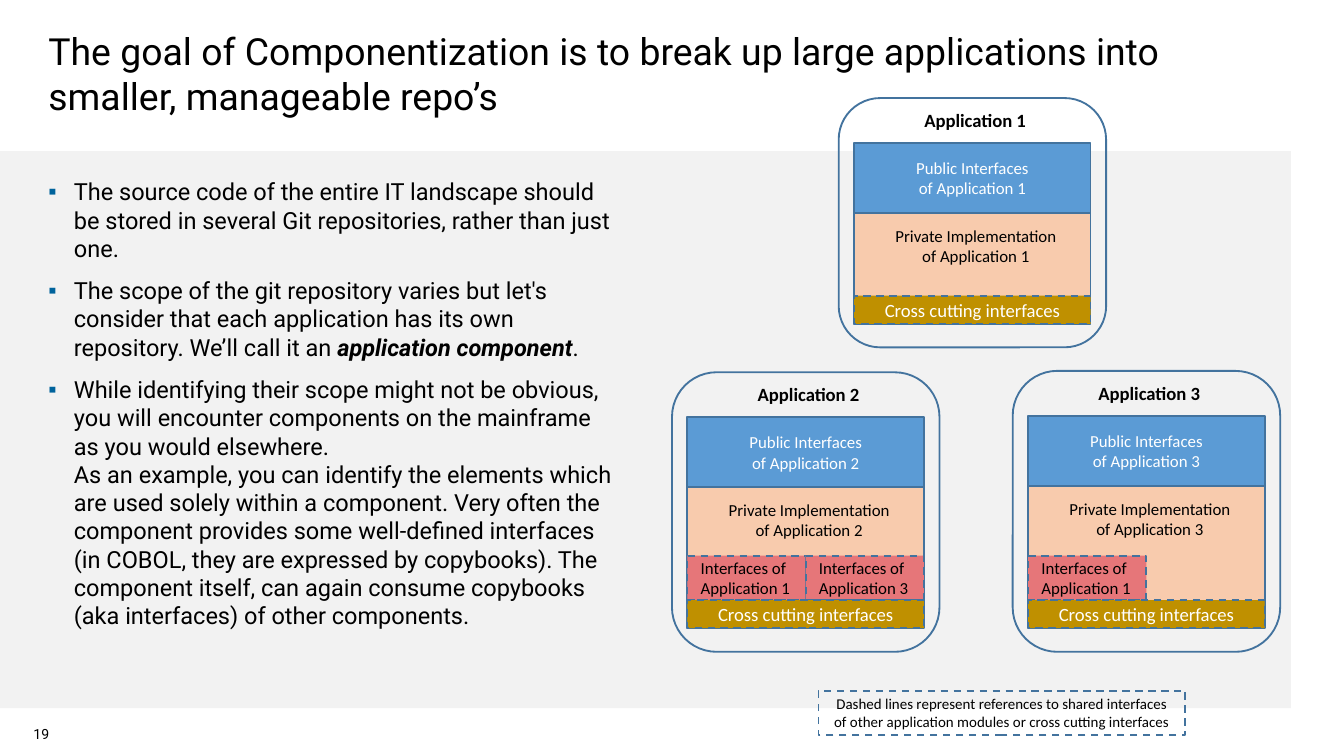
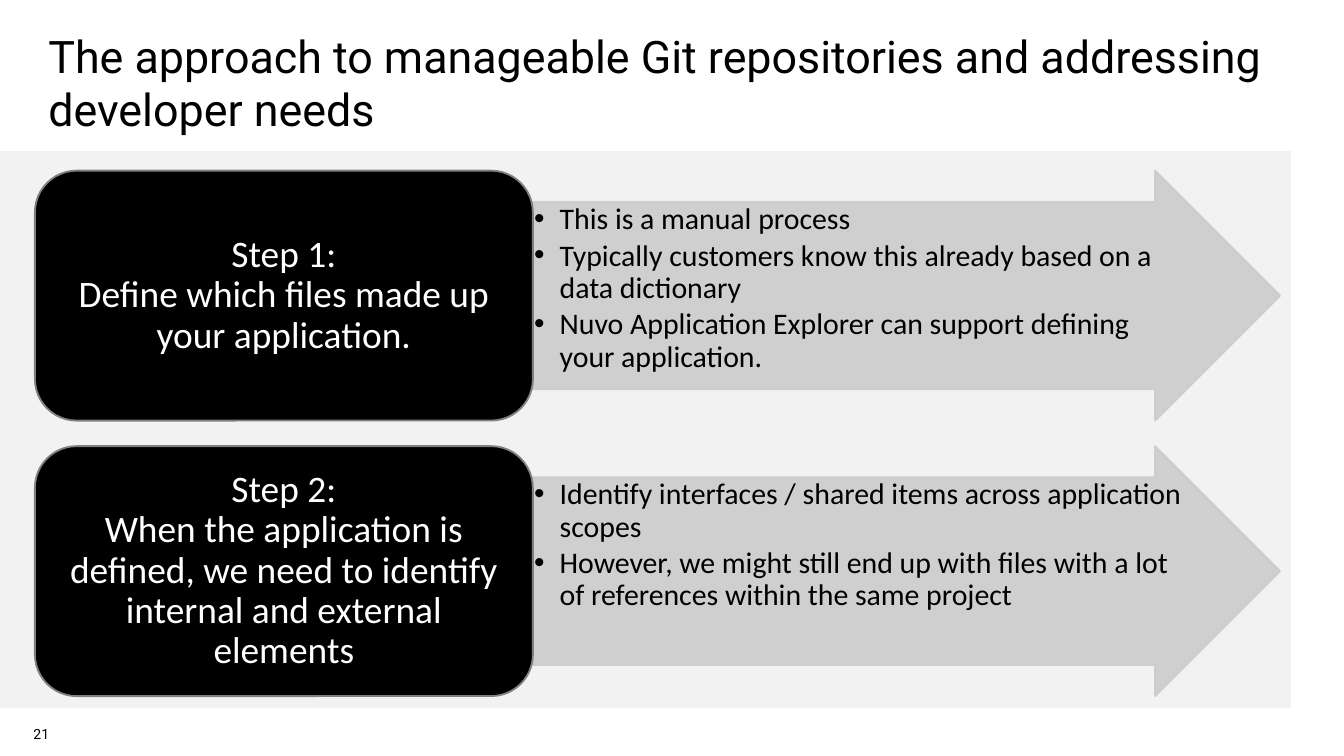
from copy import deepcopy
from dataclasses import dataclass

from lxml import etree
from pptx import Presentation
from pptx import util as u
from pptx.dml.color import RGBColor
from pptx.enum import dml, shapes, text
from pptx.oxml import ns

WIDTH = u.Inches(10)
HEIGHT = u.Emu(WIDTH * 9 // 16)
COLUMNS = 100
CELL = WIDTH / COLUMNS
RECT = shapes.MSO_SHAPE.RECTANGLE
ROUND = shapes.MSO_SHAPE.ROUNDED_RECTANGLE
ARROW = shapes.MSO_SHAPE.RIGHT_ARROW
LEFT, CENTER = text.PP_ALIGN.LEFT, text.PP_ALIGN.CENTER
TOP, MIDDLE = text.MSO_ANCHOR.TOP, text.MSO_ANCHOR.MIDDLE


@dataclass(frozen=True)
class Theme:
    heading: str = "Roboto"
    diagram: str = "Calibri"
    black: str = "000000"
    white: str = "FFFFFF"
    band: str = "F2F2F2"
    bullet: str = "00639C"
    outline: str = "43739E"
    public: str = "5B9BD5"
    private: str = "F8CBAD"
    shared: str = "E67679"
    cross: str = "BF9000"
    arrow: str = "CCCCCC"
    step_line: str = "808080"
    number_size: float = 7.5
    legend_size: float = 8
    label_size: float = 9
    card_size: float = 10
    body_size: float = 12.6
    detail_size: float = 16
    step_size: float = 20
    title_size: float = 20
    large_title_size: float = 24


T = Theme()


def cells(*values):
    return [u.Emu(round(v * CELL)) for v in values]


def set_attrs(target, fmt):
    for name, value in fmt.items():
        setattr(target, name, value)


def style_run(r, font, size, color, **fmt):
    set_attrs(r.font, {"name": font, "size": u.Pt(size), **fmt})
    r.font.color.rgb = RGBColor.from_string(color)


def write(p, content, font, size, color, align=LEFT, **fmt):
    p.text = content
    p.alignment = align
    for r in p.runs:
        style_run(r, font, size, color, **fmt)
    for br in p._p.findall(ns.qn("a:br")):
        br.insert(0, deepcopy(p.runs[0]._r.rPr))


def set_frame(tf, anchor=TOP, wrap=True, inset=(1, 0.5)):
    x, y = cells(*inset)
    set_attrs(tf, {"auto_size": text.MSO_AUTO_SIZE.NONE, "word_wrap": wrap,
                   "vertical_anchor": anchor, "margin_left": x,
                   "margin_right": x, "margin_top": y, "margin_bottom": y})


def add_bullet(p, char, color):
    pPr = p._p.get_or_add_pPr()
    indent = cells(1.9)[0]
    pPr.set("marL", str(indent))
    pPr.set("indent", str(-indent))
    clr = etree.SubElement(pPr, ns.qn("a:buClr"))
    etree.SubElement(clr, ns.qn("a:srgbClr")).set("val", color)
    etree.SubElement(pPr, ns.qn("a:buFont")).set("typeface", "Arial")
    etree.SubElement(pPr, ns.qn("a:buChar")).set("char", char)


def add_box(s, kind, at, fill=None, line=None, dashed=False):
    sp = s.shapes.add_shape(kind, *cells(*at))
    sp.shadow.inherit = False
    if fill:
        sp.fill.solid()
        sp.fill.fore_color.rgb = RGBColor.from_string(fill)
    else:
        sp.fill.background()
    if line:
        sp.line.color.rgb = RGBColor.from_string(line)
        sp.line.width = u.Pt(1)
        if dashed:
            sp.line.dash_style = dml.MSO_LINE.DASH
    else:
        sp.line.fill.background()
    return sp


def add_label(s, at, content, size, color=T.black, fill=None, dashed=False,
              align=CENTER):
    sp = add_box(s, RECT, at, fill, T.outline, dashed)
    set_frame(sp.text_frame, MIDDLE)
    write(sp.text_frame.paragraphs[0], content, T.diagram, size, color, align)


def add_text(s, at, content, font, size, align=LEFT, wrap=True, **fmt):
    tf = s.shapes.add_textbox(*cells(*at)).text_frame
    set_frame(tf, wrap=wrap)
    write(tf.paragraphs[0], content, font, size, T.black, align, **fmt)


def place(sp, at):
    set_attrs(sp, dict(zip(("left", "top", "width", "height"), cells(*at))))
    set_frame(sp.text_frame)


def add_slide(prs, layout, title, title_size, number):
    s = prs.slides.add_slide(prs.slide_layouts[layout])
    band = add_box(s, RECT, (0, 11.25, 96.05, 41.45), T.band)
    s.shapes._spTree.insert(2, band._element)
    place(s.shapes.title, (2.6, 1.6, 94.8, 8.5))
    write(s.shapes.title.text_frame.paragraphs[0], title, T.heading,
          title_size, T.black)
    add_text(s, (1.5, 53.5, 4.5, 1.9), number, T.heading, T.number_size)
    return s


def fill_body(sp, items):
    place(sp, (2.6, 12.7, 44.3, 39.1))
    tf = sp.text_frame
    for i, (content, emphasis, ending) in enumerate(items):
        p = tf.paragraphs[0] if i == 0 else tf.add_paragraph()
        add_bullet(p, "▪", T.bullet)
        p.space_before = u.Pt(7.5 if i else 0)
        write(p, content, T.heading, T.body_size, T.black)
        for part, strong in ((emphasis, True), (ending, False)):
            if part:
                r = p.add_run()
                r.text = part
                style_run(r, T.heading, T.body_size, T.black, bold=strong,
                          italic=strong)


def add_application(s, left, top, height, number, uses=()):
    name = f"Application {number}"
    x, w = left + 1.15, 17.6
    private_top, private_h = top + 8.55, height - 10.3
    cross_h, shared_w, shared_h = 2.1, 8.8, 3.3
    cross_top = private_top + private_h - cross_h
    add_box(s, RECT, (x, private_top, w, private_h), T.private, T.outline)
    add_label(s, (x, top + 3.35, w, 5.2), f"Public Interfaces\vof {name}",
              T.label_size, T.white, T.public)
    add_box(s, ROUND, (left, top, 19.9, height), line=T.outline)
    add_text(s, (left + 4.9, top + 0.3, 10.5, 2.7), name, T.diagram,
             T.card_size, CENTER, bold=True)
    add_text(s, (left + 2.6, top + 9, 15.2, 5.8),
             f"Private Implementation\vof {name}", T.diagram, T.label_size,
             CENTER, wrap=False)
    for i, used in enumerate(uses):
        add_label(s, (x + i * shared_w, cross_top - shared_h, shared_w, shared_h),
                  f"Interfaces of\vApplication {used}", T.label_size,
                  fill=T.shared, dashed=True, align=LEFT)
    add_label(s, (x, cross_top, w, cross_h), "Cross cutting interfaces",
              T.card_size, T.white, T.cross, dashed=True)


def add_step(s, row, step, details):
    top, height = 12.7 + row * 20.5, 18.6
    arrow = add_box(s, ARROW, (39.65, top, 55.6, height), T.arrow, T.arrow)
    arrow.adjustments[0] = 0.75
    for clr in arrow._element.spPr.iter(ns.qn("a:srgbClr")):
        etree.SubElement(clr, ns.qn("a:alpha")).set("val", "90000")
    tf = s.shapes.add_textbox(*cells(39.65, top + 2.35, 48.6, 14)).text_frame
    set_frame(tf, inset=(0.1, 0.1))
    for i, detail in enumerate(details):
        p = tf.paragraphs[0] if i == 0 else tf.add_paragraph()
        add_bullet(p, "•", T.black)
        set_attrs(p, {"line_spacing": 0.9, "space_after": u.Pt(2.4)})
        write(p, detail, T.diagram, T.detail_size, T.black)
    box = add_box(s, ROUND, (2.6, top, 37.05, height), T.black, T.step_line)
    set_frame(box.text_frame, MIDDLE, inset=(0.8, 0.4))
    p = box.text_frame.paragraphs[0]
    p.line_spacing = 0.9
    write(p, step, T.diagram, T.step_size, T.white, CENTER)


def build_components(prs):
    s = add_slide(prs, 1, "The goal of Componentization is to break up large "
                  "applications into smaller, manageable repo’s",
                  T.title_size, "19")
    fill_body(s.placeholders[1], [
        ("The source code of the entire IT landscape should be stored in "
         "several Git repositories, rather than just one.", "", ""),
        ("The scope of the git repository varies but let's consider that each "
         "application has its own repository. We’ll call it an ",
         "application component", "."),
        ("While identifying their scope might not be obvious, you will "
         "encounter components on the mainframe as you would elsewhere.\v"
         "As an example, you can identify the elements which are used solely "
         "within a component. Very often the component provides some "
         "well-defined interfaces (in COBOL, they are expressed by copybooks). "
         "The component itself, can again consume copybooks (aka interfaces) "
         "of other components.", "", ""),
    ])
    add_application(s, 62.4, 7.3, 18.55, 1)
    add_application(s, 50, 27.7, 20.8, 2, uses=(1, 3))
    add_application(s, 75.35, 27.6, 20.9, 3, uses=(1,))
    add_label(s, (60.9, 51.4, 27.3, 3.3),
              "Dashed lines represent references to shared interfaces of other "
              "application modules or cross cutting interfaces",
              T.legend_size, dashed=True)


def build_approach(prs):
    s = add_slide(prs, 5, "The approach to manageable Git repositories and "
                  "addressing developer needs", T.large_title_size, "21")
    steps = [
        ("Step 1:\vDefine which files made up your application.",
         ["This is a manual process",
          "Typically customers know this already based on a data dictionary",
          "Nuvo Application Explorer can support defining your application."]),
        ("Step 2:\vWhen the application is defined, we need to identify "
         "internal and external elements",
         ["Identify interfaces / shared items across application scopes",
          "However, we might still end up with files with a lot of references "
          "within the same project"]),
    ]
    for row, (step, details) in enumerate(steps):
        add_step(s, row, step, details)


def main():
    prs = Presentation()
    set_attrs(prs, {"slide_width": WIDTH, "slide_height": HEIGHT})
    build_components(prs)
    build_approach(prs)
    prs.save("out.pptx")


if __name__ == "__main__":
    main()
